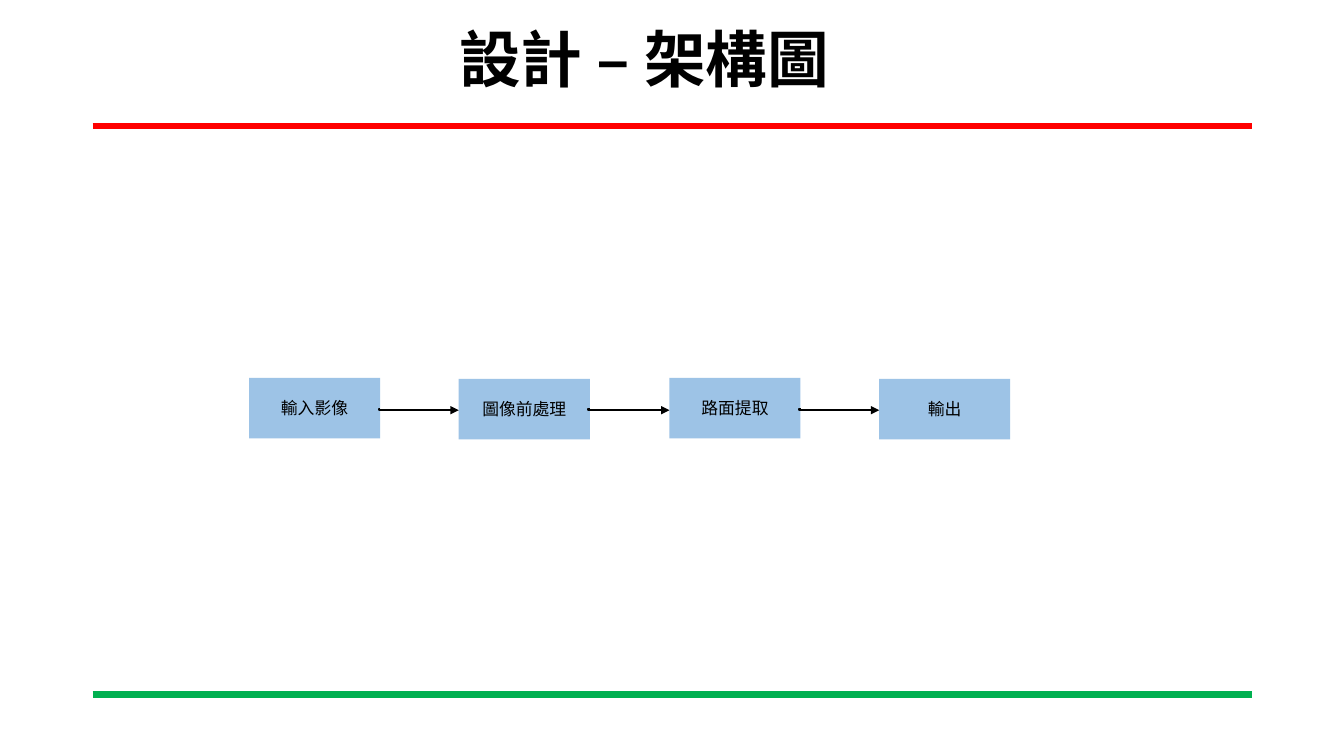
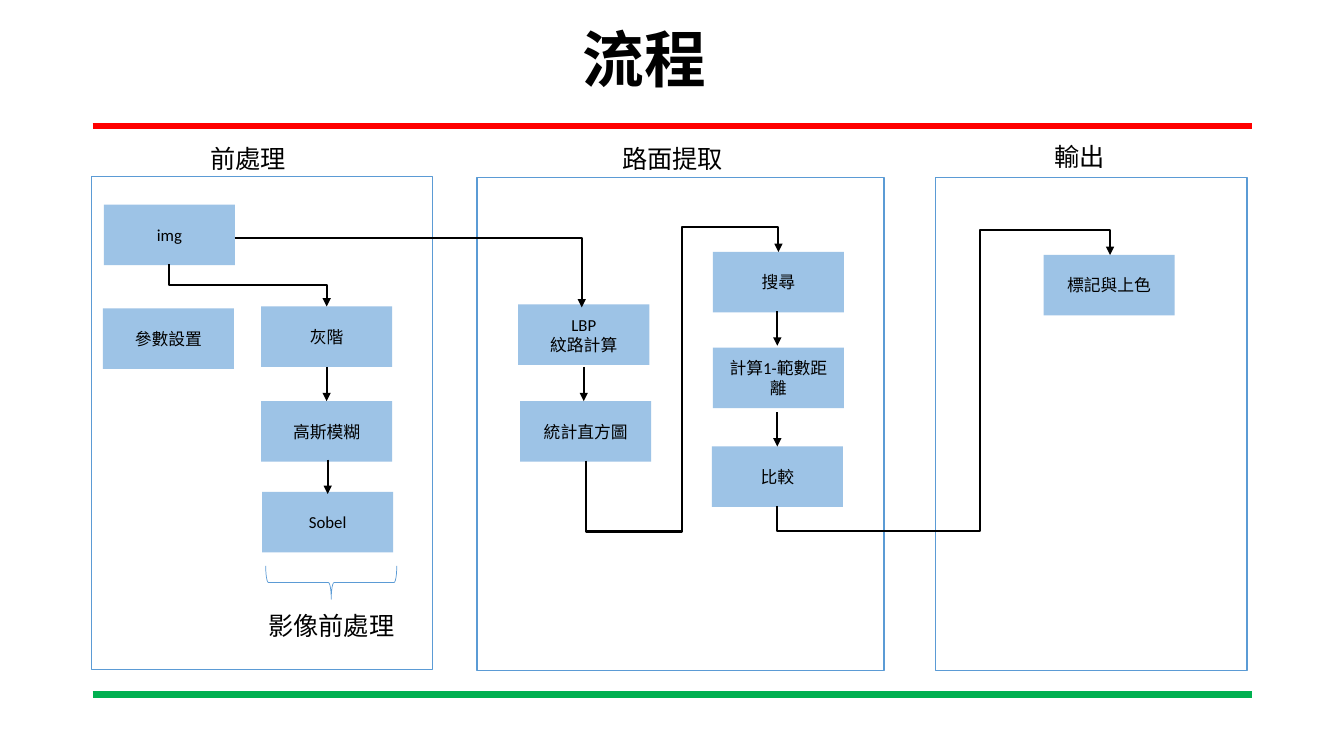
from pptx import Presentation
from pptx.dml.color import RGBColor
from pptx.enum.shapes import MSO_CONNECTOR, MSO_SHAPE
from pptx.enum.text import MSO_ANCHOR, PP_ALIGN
from pptx.oxml.ns import qn
from pptx.util import Pt
from lxml import etree

PX = 9144  # EMU per px, 100 px to the inch
RECT, BRACE = MSO_SHAPE.RECTANGLE, MSO_SHAPE.RIGHT_BRACE
STRAIGHT, ELBOW = MSO_CONNECTOR.STRAIGHT, MSO_CONNECTOR.ELBOW
CENTER, MIDDLE = PP_ALIGN.CENTER, MSO_ANCHOR.MIDDLE
TITLE_ONLY = 5

BLACK, RED, GREEN = "000000", "FF0000", "00B050"
BOX_FILL, OUTLINE = "9DC3E6", "5B9BD5"
TITLE_FONT, BODY_FONT = "Times New Roman", "Calibri"
BOX_WIDTH, BOX_HEIGHT = 130, 60


def px(*lengths):
    return [round(length * PX) for length in lengths]


def color(code):
    return RGBColor.from_string(code)


class Diagram:
    """Holds the deck, its style and the current page."""

    def __init__(self):
        self.deck = Presentation()
        self.deck.slide_width, self.deck.slide_height = px(1333, 750)
        self.layout = self.deck.slide_layouts[TITLE_ONLY]
        self.page = None

    def new_page(self, title):
        first = self.page is None
        self.page = self.deck.slides.add_slide(self.layout)
        if first:
            self.add_layout_rules()
        box = self.page.shapes.title
        box.left, box.top, box.width, box.height = px(64, -10, 1150, 145)
        self.set_text(box, title, 44, TITLE_FONT, bold=True)
        box.text_frame.paragraphs[0].line_spacing = 0.9

    def add_layout_rules(self):
        """Put the red and green rules on the layout, under every page."""
        tree = self.layout.shapes._spTree
        for y, code in ((125, RED), (689, GREEN)):
            rule = self.line((92, y), (1242, y), code, 4.5)
            tree.insert_element_before(rule._element, "p:extLst")

    def set_text(self, box, text, size, font=BODY_FONT, bold=False):
        frame = box.text_frame
        frame.vertical_anchor = MIDDLE
        para = frame.paragraphs[0]
        para.text = text
        para.alignment = CENTER
        for span in para.runs:
            span.font.size, span.font.name = Pt(size), font
            span.font.bold = bold
            span.font.color.rgb = color(BLACK)

    def shape(self, kind, place, fill=None, outline=None, weight=1):
        shape = self.page.shapes.add_shape(kind, *px(*place))
        shape.shadow.inherit = False
        if fill:
            shape.fill.solid()
            shape.fill.fore_color.rgb = color(fill)
        else:
            shape.fill.background()
        if outline:
            shape.line.color.rgb = color(outline)
            shape.line.width = Pt(weight)
        else:
            shape.line.fill.background()
        return shape

    def step(self, text, left, top):
        box = self.shape(RECT, (left, top, BOX_WIDTH, BOX_HEIGHT), BOX_FILL)
        box.text_frame.word_wrap = True
        self.set_text(box, text, 12)

    def label(self, text, left, top, width=130):
        box = self.page.shapes.add_textbox(*px(left, top, width, 40))
        box.text_frame.word_wrap = False
        self.set_text(box, text, 18)

    def line(self, start, end, code=BLACK, weight=1.5, kind=STRAIGHT):
        line = self.page.shapes.add_connector(kind, *px(*start, *end))
        line.line.color.rgb = color(code)
        line.line.width = Pt(weight)
        etree.SubElement(line._element.spPr, qn("a:effectLst"))
        return line

    def add_head(self, line):
        outline = line._element.spPr.find(qn("a:ln"))
        etree.SubElement(outline, qn("a:tailEnd"), type="triangle")

    def arrow(self, start, end):
        self.add_head(self.line(start, end))

    def elbow(self, start, end, bends, vertical=False):
        """Bent arrow; bends are fractions of the way, vertical is how it leaves."""
        (x1, y1), (x2, y2) = start, end
        if vertical:  # a turned connector is stored lying, around the same centre
            length, across = abs(y2 - y1), abs(x2 - x1)
            left, top = (x1 + x2 - length) / 2, (y1 + y2 - across) / 2
            start, end = (left, top), (left + length, top + across)
        line = self.line(start, end, kind=ELBOW)
        properties = line._element.spPr
        if vertical:
            frame = properties.find(qn("a:xfrm"))
            frame.set("flipH", "1")
            frame.set("rot", "16200000" if y2 > y1 else "5400000")
            if y2 < y1:
                frame.set("flipV", "1")
        geometry = properties.find(qn("a:prstGeom"))
        geometry.set("prst", f"bentConnector{len(bends) + 2}")
        guides = geometry.find(qn("a:avLst"))
        for number, bend in enumerate(bends, 1):
            etree.SubElement(guides, qn("a:gd"), name=f"adj{number}",
                             fmla=f"val {round(bend * 100000)}")
        self.add_head(line)


def architecture(diagram):
    diagram.new_page("設計 – 架構圖")
    steps = ("輸入影像", "圖像前處理", "路面提取", "輸出")
    lefts = [round(247 + 208.4 * index) for index in range(len(steps))]
    for index, (text, left) in enumerate(zip(steps, lefts)):
        diagram.step(text, left, 375 + index % 2)
    for left, following in zip(lefts, lefts[1:]):
        diagram.elbow((left + BOX_WIDTH, 406), (following, 407), [-0.02])


def process(diagram):
    diagram.new_page("流程")

    # Stage panels and their headings
    for left, top, width in ((91, 175, 338), (473, 176, 404), (928, 176, 309)):
        diagram.shape(RECT, (left, top, width, 489), outline=OUTLINE)
    for text, left, top in (("前處理", 181, 137), ("路面提取", 602, 137),
                            ("輸出", 1006, 135)):
        diagram.label(text, left, top)

    # Steps
    for text, left, top in (
        ("img", 103, 203), ("參數設置", 102, 306),
        ("灰階", 259, 304), ("高斯模糊", 259, 398), ("Sobel", 260, 488),
        ("LBP\n紋路計算", 514, 302), ("統計直方圖", 516, 398),
        ("搜尋", 707, 250), ("計算1-範數距離", 707, 345), ("比較", 706, 443),
        ("標記與上色", 1035, 253),
    ):
        diagram.step(text, left, top)

    # Brace under the image steps
    brace = diagram.shape(BRACE, (312, 513, 33, 130), outline=OUTLINE, weight=0.5)
    brace.rotation = 90
    diagram.label("影像前處理", 256, 601, 145)

    # Arrows within a column
    for x, top in ((324, 364), (325, 456), (579, 364), (771, 309), (771, 409)):
        diagram.arrow((x, top), (x, top + 34))

    # Arrows between columns
    diagram.elbow((233, 236), (577, 305), [1])
    diagram.elbow((168, 262), (324, 304), [0.5], vertical=True)
    diagram.elbow((581, 457), (772, 250), [-0.34, 0.5, 1.12], vertical=True)
    diagram.elbow((771, 502), (1101, 253), [-0.1, 0.61, 1.1], vertical=True)


def main():
    diagram = Diagram()
    architecture(diagram)
    process(diagram)
    diagram.deck.save("out.pptx")


if __name__ == "__main__":
    main()
